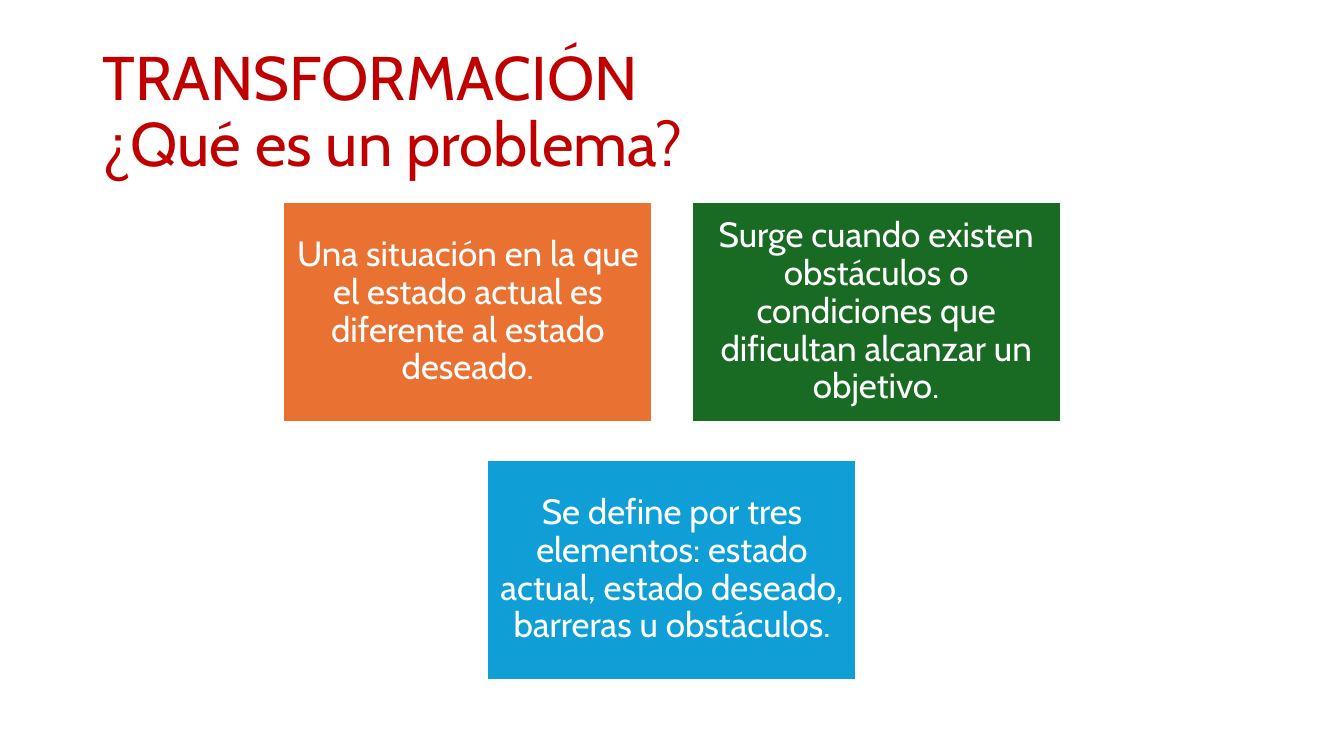
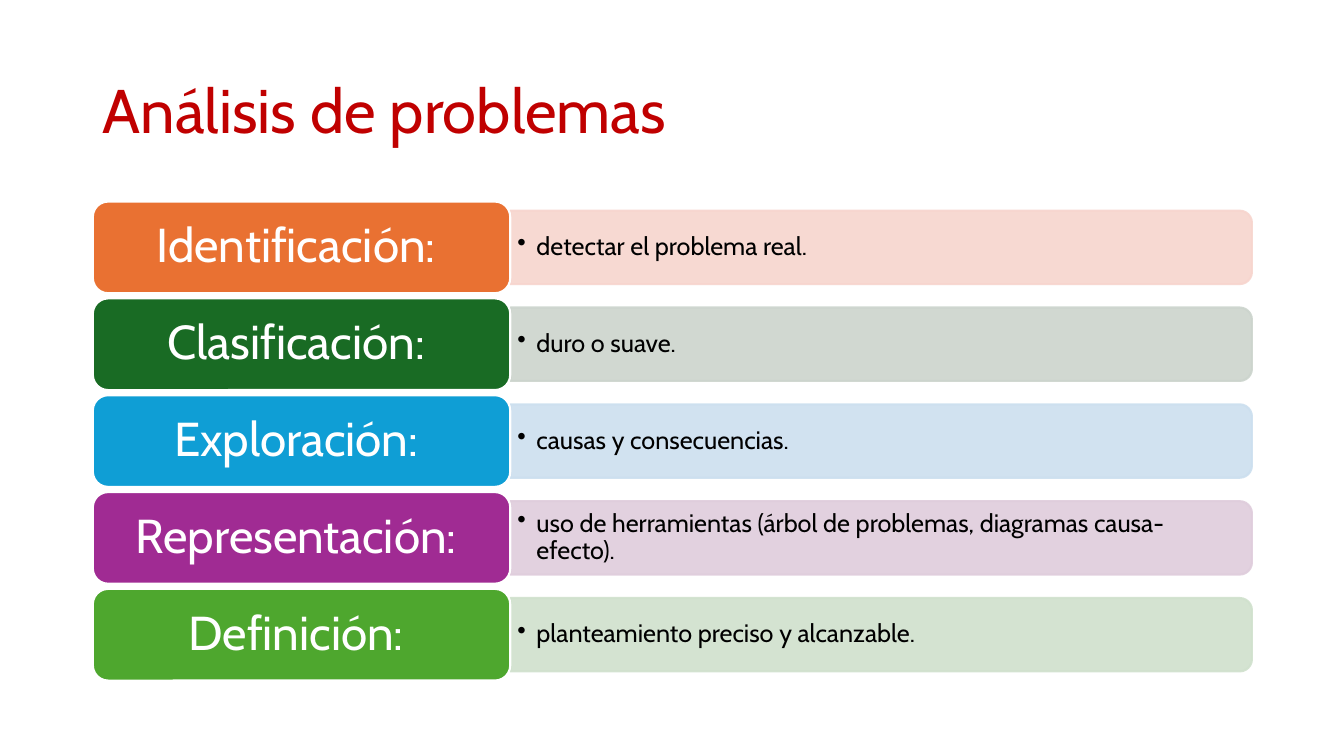
from lxml.etree import SubElement
from pptx import Presentation
from pptx.dml.color import RGBColor
from pptx.enum.shapes import MSO_SHAPE
from pptx.enum.text import MSO_ANCHOR, PP_ALIGN
from pptx.oxml.ns import qn
from pptx.util import Cm, Pt

SLIDE_WIDTH, SLIDE_HEIGHT = 33.87, 19.05
LEFT, CONTENT_TOP = 2.34, 5.08
FONT = "Cabin"

COLORS = {
    "title": "C00000", "white": "FFFFFF", "black": "000000",
    "orange": "E97132", "green": "196B24", "blue": "0F9ED5",
    "purple": "A02B93", "lime": "4EA72E",
    "pale orange": "F7D5CE", "pale green": "CCD4CD", "pale blue": "CCDFEF",
    "pale purple": "DFCDDC", "pale lime": "D0E1CD",
}

# Text styles: size, colour, alignment, insets (horizontal, vertical)
STYLES = {
    "title": (44, "title", PP_ALIGN.LEFT, (0.25, 0.13)),
    "card": (25, "white", PP_ALIGN.CENTER, (0.25, 0.25)),
    "label": (34, "white", PP_ALIGN.CENTER, (0.36, 0.18)),
    "detail": (18, "black", PP_ALIGN.LEFT, (0.18, 0.09)),
}

CARDS = [
    [("orange", "Una situación en la que el estado actual es diferente al estado deseado."),
     ("green", "Surge cuando existen obstáculos o condiciones que dificultan alcanzar un objetivo.")],
    [("blue", "Se define por tres elementos: estado actual, estado deseado, barreras u obstáculos.")],
]

STEPS = [
    ("orange", "Identificación: ", "detectar el problema real."),
    ("green", "Clasificación: ", "duro o suave."),
    ("blue", "Exploración: ", "causas y consecuencias."),
    ("purple", "Representación: ",
     "uso de herramientas (árbol de problemas, diagramas causa-efecto)."),
    ("lime", "Definición: ", "planteamiento preciso y alcanzable."),
]


def color(name):
    return RGBColor.from_string(COLORS[name])


def set_values(target, values):
    for name, value in values.items():
        setattr(target, name, value)


def write_text(shape, text, style):
    size, color_name, alignment, (horizontal, vertical) = STYLES[style]
    frame = shape.text_frame
    set_values(frame, {
        "word_wrap": True, "vertical_anchor": MSO_ANCHOR.MIDDLE,
        "margin_left": Cm(horizontal), "margin_right": Cm(horizontal),
        "margin_top": Cm(vertical), "margin_bottom": Cm(vertical),
    })
    paragraph = frame.paragraphs[0]
    set_values(paragraph, {"text": text, "alignment": alignment, "line_spacing": 0.9})
    for run in paragraph.runs:
        set_values(run.font, {"name": FONT, "size": Pt(size)})
        run.font.color.rgb = color(color_name)
    return paragraph


def add_text(slide, box, text, style):
    return write_text(slide.shapes.add_textbox(*map(Cm, box)), text, style)


def add_block(slide, kind, box, fill, line):
    shape = slide.shapes.add_shape(kind, *map(Cm, box))
    shape.shadow.inherit = False
    shape.fill.solid()
    shape.fill.fore_color.rgb = color(fill)
    shape.line.color.rgb = color(line)
    shape.line.width = Pt(1.5)
    return shape


def add_panel(slide, left, middle, width, height, fill):
    """Panel with its two rounded corners turned to the right."""
    box = (left + (width - height) / 2, middle - width / 2, height, width)
    panel = add_block(slide, MSO_SHAPE.ROUND_2_SAME_RECTANGLE, box, fill, fill)
    panel.rotation = 90
    for rgb in panel.element.spPr.iter(qn("a:srgbClr")):
        SubElement(rgb, qn("a:alpha"), val="90000")


def add_bullet(paragraph):
    properties = paragraph._p.get_or_add_pPr()
    indent = Cm(0.48)
    properties.set("marL", str(indent))
    properties.set("indent", str(-indent))
    SubElement(properties, qn("a:buChar"), char="•")


def add_slide(presentation, title):
    slide = presentation.slides.add_slide(presentation.slide_layouts[6])
    add_text(slide, (LEFT, 1.02, 29.21, 3.68), title, "title")
    return slide


def add_cards(slide, rows):
    width, height, gap = 9.3, 5.56, 0.99
    for row_index, row in enumerate(rows):
        # Each row is centred on the slide
        row_width = len(row) * (width + gap) - gap
        start = (SLIDE_WIDTH - row_width) / 2
        top = CONTENT_TOP + row_index * (height + gap - 0.05)
        for column, (fill, text) in enumerate(row):
            box = (start + column * (width + gap), top, width, height)
            card = add_block(slide, MSO_SHAPE.RECTANGLE, box, fill, "white")
            write_text(card, text, "card")


def add_steps(slide, steps):
    label_width, label_height, pitch = 10.52, 2.31, 2.44
    panel_width, panel_height, text_height = 18.69, 1.85, 1.68
    panel_left = LEFT + label_width
    for index, (fill, label_text, detail) in enumerate(steps):
        top = CONTENT_TOP + index * pitch
        middle = top + label_height / 2
        # Detail panel
        add_panel(slide, panel_left, middle, panel_width, panel_height, f"pale {fill}")
        detail_box = (panel_left, middle - text_height / 2, panel_width - 0.1, text_height)
        add_bullet(add_text(slide, detail_box, detail, "detail"))
        # Step label
        label = add_block(slide, MSO_SHAPE.ROUNDED_RECTANGLE,
                          (LEFT, top, label_width, label_height), fill, "white")
        write_text(label, label_text, "label")


def main():
    presentation = Presentation()
    set_values(presentation, {"slide_width": Cm(SLIDE_WIDTH), "slide_height": Cm(SLIDE_HEIGHT)})
    add_cards(add_slide(presentation, "TRANSFORMACIÓN\n¿Qué es un problema?"), CARDS)
    add_steps(add_slide(presentation, "Análisis de problemas"), STEPS)
    presentation.save("out.pptx")


if __name__ == "__main__":
    main()
